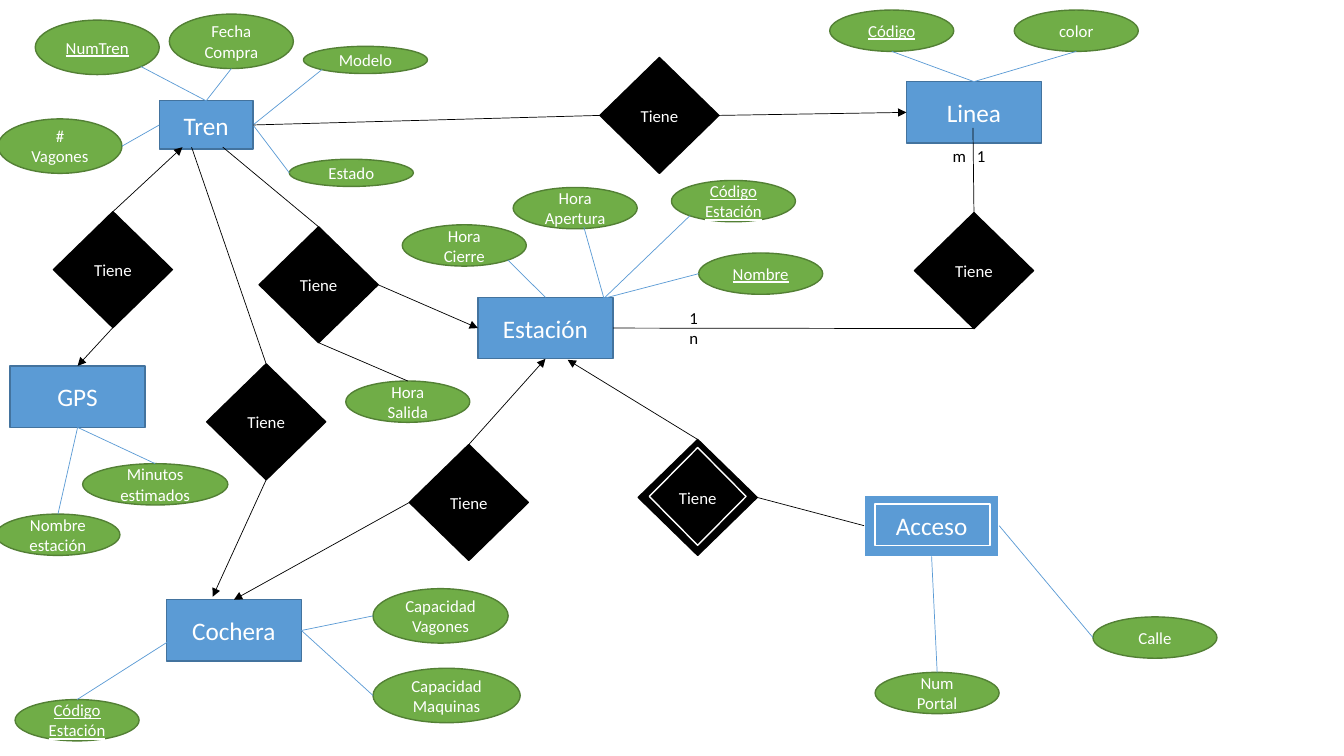
from lxml import etree
from pptx import Presentation
from pptx import util as u
from pptx.dml.color import RGBColor
from pptx.enum import shapes, text
from pptx.oxml import ns

BLUE, GREEN, BLACK, WHITE = "5B9BD5", "70AD47", "000000", "FFFFFF"
DARK_BLUE, DARK_GREEN = "43739E", "538035"
RECTANGLE = shapes.MSO_SHAPE.RECTANGLE
ELLIPSE = shapes.MSO_SHAPE.OVAL
DIAMOND = shapes.MSO_SHAPE.DIAMOND

ENTITY_SIZE = (1.34, 0.61)
RELATION_SIZE = (1.18, 1.15)
ATTRIBUTE_WIDTH = 1.23

entities = {
    "Tren": (1.58, 1, 0.93, 0.48),
    "Estación": (4.74, 2.95, *ENTITY_SIZE),
    "Acceso": (8.57, 4.91, *ENTITY_SIZE),
    "Linea": (8.99, 0.81, *ENTITY_SIZE),
    "Cochera": (1.65, 5.95, *ENTITY_SIZE),
    "GPS": (0.1, 3.63, *ENTITY_SIZE),
}
relations = {
    "Tren-Estación": (2.57, 2.25),
    "Linea-Estación": (9.07, 2.11),
    "Acceso-Estación": (6.33, 4.36),
    "Cochera-Estación": (4.06, 4.41),
    "Tren-Linea": (5.95, 0.57),
    "Tren-Cochera": (2.05, 3.61),
    "Tren-GPS": (0.53, 2.1),
}
attributes = {
    "tren número": ("NumTren", 0.35, 0.2, ATTRIBUTE_WIDTH, 0.54, True),
    "tren fecha": ("Fecha\nCompra", 1.68, 0.14, ATTRIBUTE_WIDTH, 0.54, False),
    "tren modelo": ("Modelo", 3.01, 0.46, ATTRIBUTE_WIDTH, 0.27, False),
    "tren estado": ("Estado", 2.87, 1.58, ATTRIBUTE_WIDTH, 0.27, False),
    "tren vagones": ("# Vagones", -0.02, 1.18, ATTRIBUTE_WIDTH, 0.54, False),
    "hora salida": ("Hora Salida", 3.43, 3.78, ATTRIBUTE_WIDTH, 0.41, False),
    "hora cierre": ("Hora Cierre", 3.99, 2.23, ATTRIBUTE_WIDTH, 0.41, False),
    "hora apertura": ("Hora Apertura", 5.09, 1.86, ATTRIBUTE_WIDTH, 0.41, False),
    "estación código": ("Código\nEstación", 6.66, 1.79, ATTRIBUTE_WIDTH, 0.41, True),
    "estación nombre": ("Nombre", 6.93, 2.51, ATTRIBUTE_WIDTH, 0.41, True),
    "linea código": ("Código", 8.23, 0.1, ATTRIBUTE_WIDTH, 0.41, True),
    "linea color": ("color", 10.06, 0.1, ATTRIBUTE_WIDTH, 0.41, False),
    "acceso calle": ("Calle", 10.84, 6.12, ATTRIBUTE_WIDTH, 0.41, False),
    "acceso portal": ("Num\nPortal", 8.68, 6.67, ATTRIBUTE_WIDTH, 0.41, False),
    "cochera vagones": ("Capacidad Vagones", 3.7, 5.84, 1.34, 0.54, False),
    "cochera máquinas": ("Capacidad Maquinas", 3.7, 6.63, 1.46, 0.54, False),
    "cochera código": ("Código\nEstación", 0.15, 6.94, ATTRIBUTE_WIDTH, 0.41, True),
    "gps nombre": ("Nombre estación", -0.04, 5.1, ATTRIBUTE_WIDTH, 0.41, False),
    "gps minutos": ("Minutos estimados", 0.82, 4.6, 1.44, 0.41, False),
}
inner_outlines = [
    (DIAMOND, (6.44, 4.44, 0.96, 0.97)),
    (RECTANGLE, (8.68, 5, 1.14, 0.41)),
]
attribute_links = [
    (("Tren", "left"), ("tren vagones", "right")),
    (("Tren", "top"), ("tren número", "bottom right")),
    (("Tren", "top"), ("tren fecha", "bottom")),
    (("Tren", "right"), ("tren modelo", "bottom left")),
    (("Tren", "right"), ("tren estado", "left")),
    (("Estación", "top"), ("hora cierre", "bottom right")),
    ((5.79, 2.25), (5.99, 2.96)),
    (("estación código", "bottom left"), (5.99, 2.96)),
    (("estación nombre", "left"), (5.99, 2.96)),
    (("acceso portal", "top"), ("Acceso", "bottom")),
    (("acceso calle", "left"), ("Acceso", "right")),
    (("cochera código", "top"), ("Cochera", "top")),
    (("cochera vagones", "left"), ("Cochera", "right")),
    (("cochera máquinas", "left"), ("Cochera", "right")),
    (("linea código", "bottom"), ("Linea", "top")),
    (("linea color", "bottom"), ("Linea", "top")),
    (("GPS", "bottom"), ("gps minutos", "top")),
    (("GPS", "bottom"), ("gps nombre", "top")),
]
plain_links = [
    ((2.21, 1.46), ("Tren-Estación", "top")),
    (("Tren-Estación", "bottom"), ("hora salida", "top")),
    (("Estación", "right"), ("Linea-Estación", "bottom")),
    (("Linea-Estación", "top"), (9.65, 1.27)),
    (("Tren-Linea", "left"), ("Tren", "right")),
    (("Acceso", "left"), ("Acceso-Estación", "right")),
    (("Tren-Cochera", "top"), (1.9, 1.46)),
]
arrow_links = [
    (("Tren-Estación", "right"), ("Estación", "left")),
    (("Tren-Linea", "right"), ("Linea", "left")),
    (("Acceso-Estación", "top"), (5.63, 3.57)),
    (("Cochera-Estación", "top"), ("Estación", "bottom")),
    (("Cochera-Estación", "left"), ("Cochera", "top")),
    (("Tren-Cochera", "bottom"), (2.11, 5.92)),
    (("Tren-GPS", "top"), (1.81, 1.46)),
    (("Tren-GPS", "bottom"), ("GPS", "top")),
]
cardinalities = [("1\nn", (6.74, 3, 0.3, 0.5)), ("m\t1", (9.35, 1.4, 0.6, 0.3))]
CARDINALITY_TAB = 0.24

SITES = {"top": 0, "left": 1, "bottom": 2, "right": 3}
FRACTIONS = {
    "top": (0.5, 0), "left": (0, 0.5), "bottom": (0.5, 1), "right": (1, 0.5),
    "bottom left": (0.15, 0.85), "bottom right": (0.85, 0.85),
}

presentation = Presentation()
presentation.slide_width, presentation.slide_height = u.Inches(13.33), u.Inches(7.5)
slide = presentation.slides.add_slide(presentation.slide_layouts[6])
nodes, boxes = {}, {}


def paint(color_format, color):
    color_format.rgb = RGBColor.from_string(color)


def write(frame, content, size, color, underline=False, alignment=text.PP_ALIGN.CENTER):
    for index, line in enumerate(content.split("\n")):
        paragraph = frame.add_paragraph() if index else frame.paragraphs[0]
        paragraph.alignment = alignment
        if "\t" in line:
            tabs = etree.SubElement(paragraph._p.get_or_add_pPr(), ns.qn("a:tabLst"))
            position = str(u.Inches(CARDINALITY_TAB))
            etree.SubElement(tabs, ns.qn("a:tab"), pos=position, algn="l")
        run = paragraph.add_run()
        run.text = line
        run.font.name, run.font.size = "Calibri", u.Pt(size)
        if underline:
            run.font.underline = True
        paint(run.font.color, color)


def add_outline(kind, box, fill, line):
    shape = slide.shapes.add_shape(kind, *map(u.Inches, box))
    shape.shadow.inherit = False
    if fill:
        shape.fill.solid()
        paint(shape.fill.fore_color, fill)
    else:
        shape.fill.background()
    paint(shape.line.color, line)
    shape.line.width = u.Pt(1)
    return shape


def add_node(name, kind, box, fill, line, label, size, underline=False):
    shape = add_outline(kind, box, fill, line)
    shape.text_frame.word_wrap = True
    shape.text_frame.vertical_anchor = text.MSO_ANCHOR.MIDDLE
    write(shape.text_frame, label, size, WHITE, underline)
    nodes[name], boxes[name] = shape, box


def locate(end):
    if end[0] not in boxes:
        return end
    left, top, width, height = boxes[end[0]]
    across, down = FRACTIONS[end[1]]
    return left + across * width, top + down * height


def add_link(start, finish, color, arrow=False):
    points = [u.Inches(value) for value in (*locate(start), *locate(finish))]
    connector = slide.shapes.add_connector(shapes.MSO_CONNECTOR.STRAIGHT, *points)
    for end, join in ((start, connector.begin_connect), (finish, connector.end_connect)):
        if end[0] in entities or end[0] in relations:
            join(nodes[end[0]], SITES[end[1]])
    paint(connector.line.color, color)
    connector.line.width = u.Pt(0.5)
    if arrow:
        etree.SubElement(connector.line._get_or_add_ln(), ns.qn("a:tailEnd"), type="triangle")
    etree.SubElement(connector._element.spPr, ns.qn("a:effectLst"))


for name, box in entities.items():
    border = WHITE if name == "Acceso" else DARK_BLUE
    add_node(name, RECTANGLE, box, BLUE, border, name, 18)
for name, corner in relations.items():
    add_node(name, DIAMOND, (*corner, *RELATION_SIZE), BLACK, BLACK, "Tiene", 12)
for name, (label, *box, is_key) in attributes.items():
    add_node(name, ELLIPSE, box, GREEN, DARK_GREEN, label, 12, is_key)
for kind, box in inner_outlines:
    add_outline(kind, box, None, WHITE)
for links, color, arrow in ((attribute_links, BLUE, False), (plain_links, BLACK, False),
                            (arrow_links, BLACK, True)):
    for start, finish in links:
        add_link(start, finish, color, arrow)
for label, box in cardinalities:
    frame = slide.shapes.add_textbox(*map(u.Inches, box)).text_frame
    frame.word_wrap = True
    write(frame, label, 12, BLACK, alignment=text.PP_ALIGN.LEFT)

presentation.save("out.pptx")
